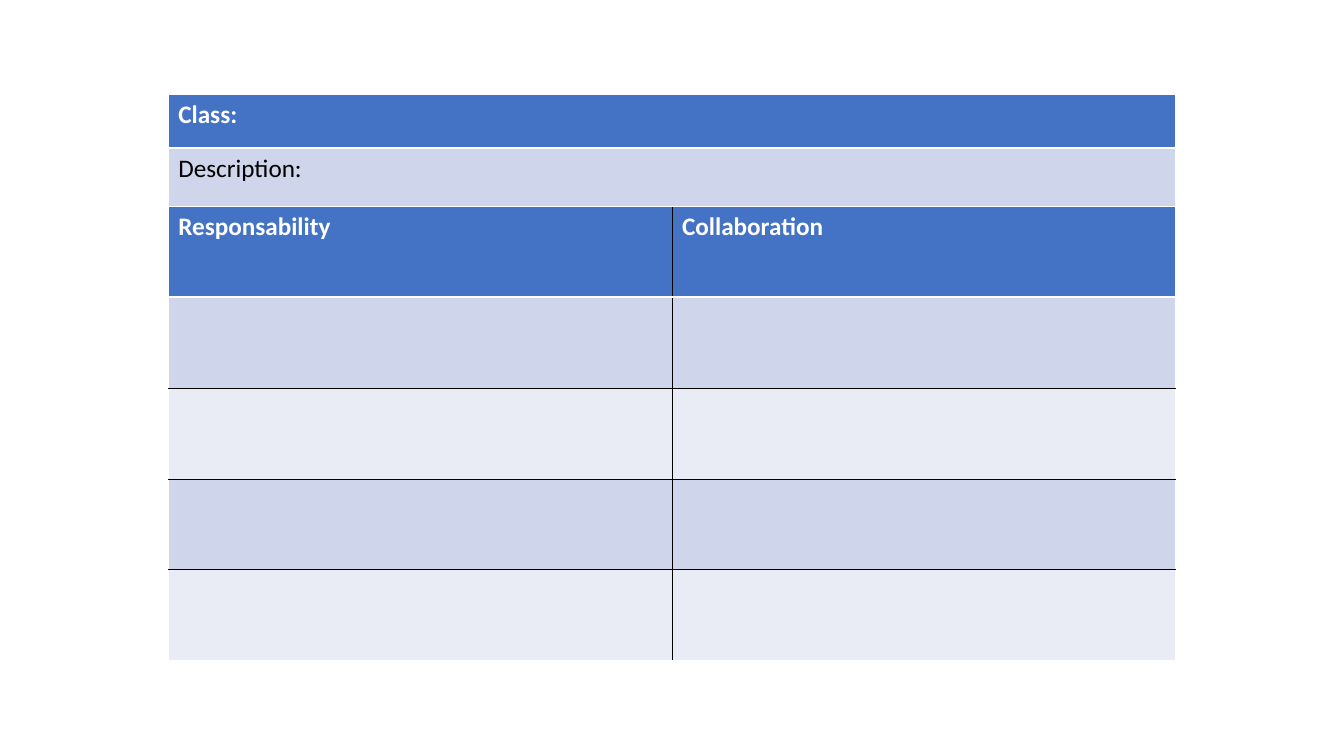
from lxml.etree import SubElement
from pptx import Presentation
from pptx.dml.color import RGBColor
from pptx.oxml.ns import qn
from pptx.util import Pt

EMU_PER_PX = 9144  # 100 px to the inch
BLUE, LIGHT, PALE = "4472C4", "CFD5EA", "E9EBF5"
WHITE, BLACK = "FFFFFF", "000000"
THIN, THICK = 0.45, 1.47
LEFT, WIDTH = 167, 1000


def px(length):
    return length * EMU_PER_PX


def color(hex_code):
    return RGBColor.from_string(hex_code)


def add_border(cell, side, hex_code, points):
    line = SubElement(cell._tc.get_or_add_tcPr(), qn(f"a:ln{side}"), w=str(int(Pt(points))))
    SubElement(SubElement(line, qn("a:solidFill")), qn("a:srgbClr"), val=hex_code)


def add_borders(cell, row, col, row_count, col_count):
    """White outside, black inside, and a thick white rule below the header."""
    def row_edge(index):
        if index == 1:
            return WHITE, THICK
        return (WHITE if index in (0, row_count) else BLACK), THIN

    def col_edge(index):
        return (WHITE if index in (0, col_count) else BLACK), THIN

    add_border(cell, "L", *col_edge(col))
    add_border(cell, "R", *col_edge(col + 1))
    add_border(cell, "T", *row_edge(row))
    add_border(cell, "B", *row_edge(row + 1))


def write_cell(cell, text, is_header):
    run = cell.text_frame.paragraphs[0].add_run()
    run.text = text
    run.font.name = "Calibri"
    run.font.size = Pt(18)
    run.font.bold = is_header
    run.font.color.rgb = color(WHITE if is_header else BLACK)


def add_card_table(slide, top, row_heights, rows):
    """Add a table with a blue header row and banded rows below it."""
    row_count, col_count = len(rows), len(rows[0])
    table = slide.shapes.add_table(row_count, col_count, px(LEFT), px(top),
                                   px(WIDTH), px(sum(row_heights))).table
    table.horz_banding = False
    for column in table.columns:
        column.width = px(WIDTH // col_count)
    for row, (height, texts) in enumerate(zip(row_heights, rows)):
        table.rows[row].height = px(height)
        band = BLUE if row == 0 else LIGHT if row % 2 else PALE
        for col, text in enumerate(texts):
            cell = table.cell(row, col)
            add_borders(cell, row, col, row_count, col_count)
            cell.fill.solid()
            cell.fill.fore_color.rgb = color(band)
            if text:
                write_cell(cell, text, row == 0)


def main():
    prs = Presentation()
    prs.slide_width, prs.slide_height = px(1334), px(750)
    slide = prs.slides.add_slide(prs.slide_layouts[6])
    add_card_table(slide, 205, [90] * 5,
                   [["Responsability", "Collaboration"]] + [["", ""]] * 4)
    add_card_table(slide, 94, [53, 58], [["Class:"], ["Description:"]])
    prs.save("out.pptx")


if __name__ == "__main__":
    main()
